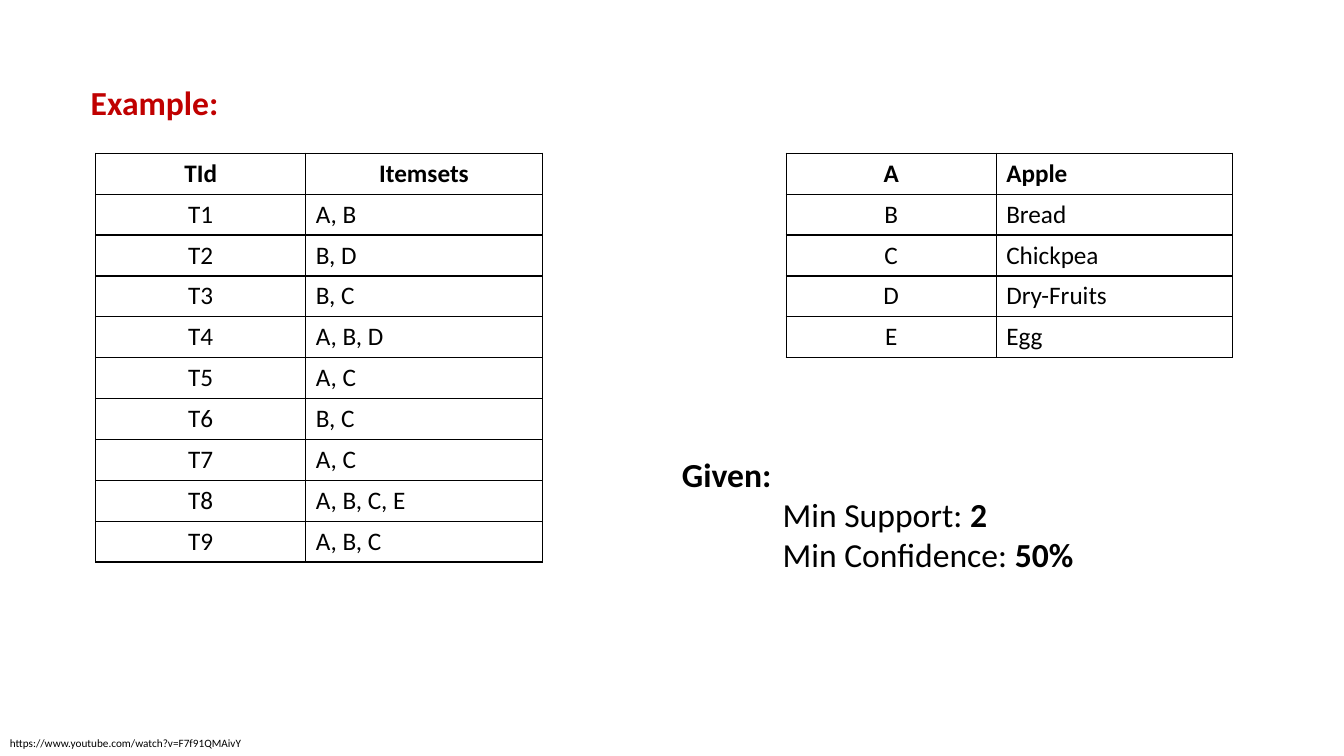
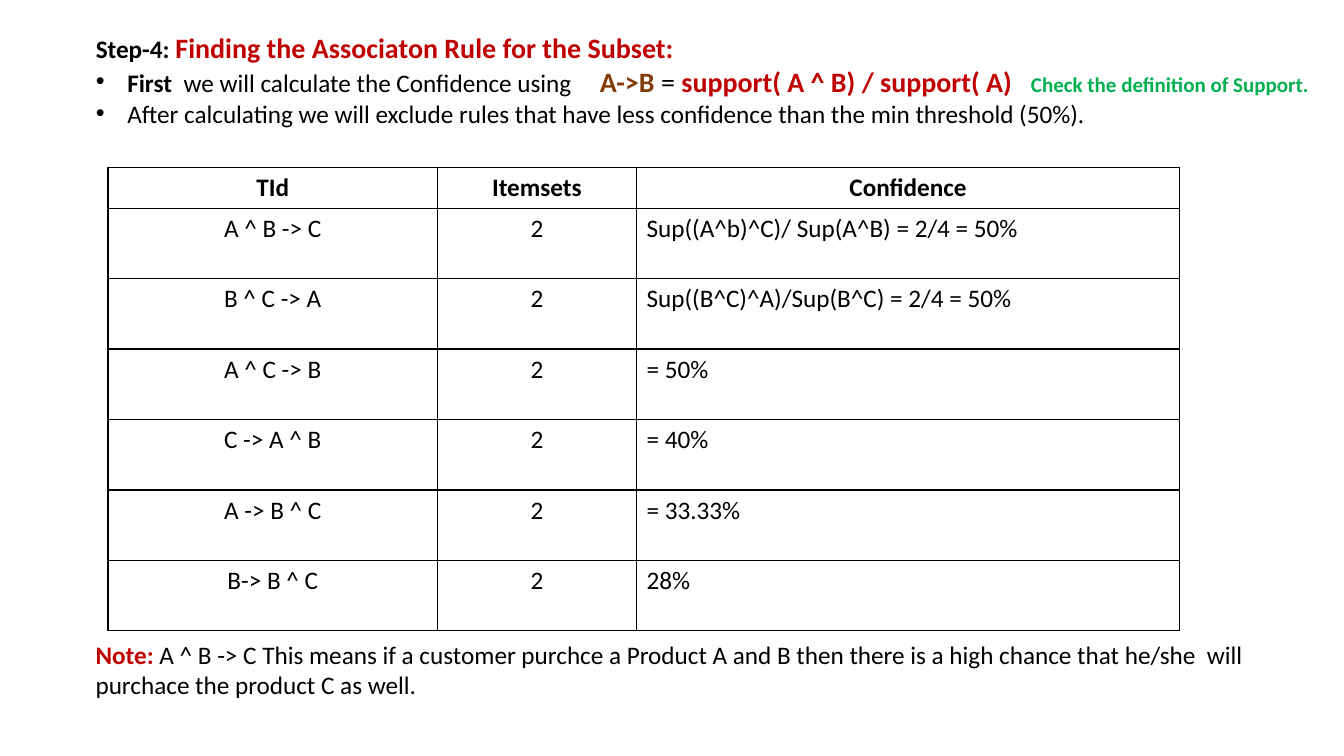
from lxml.etree import SubElement
from pptx import Presentation
from pptx.dml.color import RGBColor
from pptx.enum.text import MSO_ANCHOR, MSO_AUTO_SIZE, PP_ALIGN
from pptx.oxml.ns import qn
from pptx.util import Pt

FONT = "Calibri"
COLORS = {"text": "000000", "accent": "C00000", "rule": "843C0B",
          "hint": "00B050", "cell": "FFFFFF", "border": "000000"}
ROW_HEIGHT = 29.2
CELL_SIZE = 18

# A run is (text, size, colour, bold); a box is a list of paragraphs of runs.
EXAMPLE_TITLE = [[("Example:", 24, "accent", True)]]
TRANSACTIONS = [
    ("TId", "Itemsets"), ("T1", "A, B"), ("T2", "B, D"), ("T3", "B, C"),
    ("T4", "A, B, D"), ("T5", "A, C"), ("T6", "B, C"), ("T7", "A, C"),
    ("T8", "A, B, C, E"), ("T9", "A, B, C"),
]
ITEMS = [("A", "Apple"), ("B", "Bread"), ("C", "Chickpea"),
         ("D", "Dry-Fruits"), ("E", "Egg")]
GIVEN = [
    [("Given:", 24, "text", True)],
    [("Min Support: ", 24, "text", False), ("2", 24, "text", True)],
    [("Min Confidence: ", 24, "text", False), ("50%", 24, "text", True)],
]
REFERENCE = [[("https://www.youtube.com/watch?v=F7f91QMAivY", 8, "text", False)]]

STEP_TITLE = [[("Step-4: ", 18, "text", True),
               ("Finding the Associaton Rule for the Subset:", 20, "accent", True)]]
STEP_POINTS = [
    [("First ", 18, "text", True),
     (" we will calculate the Confidence using\t", 18, "text", False),
     ("A->B ", 20, "rule", True),
     ("= ", 20, "text", False),
     ("support( A ^ B) / support( A)\t", 20, "accent", True),
     ("Check the definition of Support.", 15, "hint", True)],
    [("After calculating we will exclude rules that have less confidence "
      "than the min threshold (50%).", 18, "text", False)],
]
RULES = [
    ("TId", "Itemsets", "Confidence"),
    ("A ^ B -> C", "2", "Sup((A^b)^C)/ Sup(A^B) = 2/4 = 50%"),
    ("B ^ C -> A", "2", "Sup((B^C)^A)/Sup(B^C) = 2/4 = 50%"),
    ("A ^ C -> B", "2", "= 50%"),
    ("C -> A ^ B", "2", "= 40%"),
    ("A -> B ^ C", "2", "= 33.33%"),
    ("B-> B ^ C", "2", "28%"),
]
NOTE = [[("Note: ", 18, "accent", True),
         ("A ^ B -> C This means if a customer purchce a Product A and B then "
          "there is a high chance that he/she  will purchace the product C as well.",
          18, "text", False)]]


def color(name):
    return RGBColor.from_string(COLORS[name])


def style_font(font, size, color_name, bold):
    font.name, font.size, font.bold = FONT, Pt(size), bold
    font.color.rgb = color(color_name)


def fill_box(box, area, paragraphs):
    """Place a text box or placeholder and write its formatted runs."""
    box.left, box.top, box.width, box.height = map(Pt, area)
    frame = box.text_frame
    frame.word_wrap = True
    frame.auto_size = MSO_AUTO_SIZE.NONE
    frame.vertical_anchor = MSO_ANCHOR.TOP
    frame.margin_left = frame.margin_right = Pt(7.2)
    frame.margin_top = frame.margin_bottom = Pt(3.6)
    for index, runs in enumerate(paragraphs):
        paragraph = frame.add_paragraph() if index else frame.paragraphs[0]
        paragraph.alignment = PP_ALIGN.LEFT
        paragraph.space_before = Pt(0)
        for text, *style in runs:
            run = paragraph.add_run()
            run.text = text
            style_font(run.font, *style)
    return frame.paragraphs


def add_text(slide, area, paragraphs):
    return fill_box(slide.shapes.add_textbox(*map(Pt, area)), area, paragraphs)


def indent(paragraph, left, first=0):
    properties = paragraph._p.get_or_add_pPr()
    properties.set("marL", str(Pt(left)))
    properties.set("indent", str(Pt(first)))
    return properties


def add_bullet(paragraph, hang, tab_stops):
    properties = indent(paragraph, hang, -hang)
    SubElement(properties, qn("a:buFont"), typeface="Arial")
    SubElement(properties, qn("a:buChar"), char="•")
    tabs = SubElement(properties, qn("a:tabLst"))
    for stop in tab_stops:
        SubElement(tabs, qn("a:tab"), pos=str(Pt(stop)), algn="l")


def add_borders(cell):
    properties = cell._tc.get_or_add_tcPr()
    for position, side in enumerate(("a:lnL", "a:lnR", "a:lnT", "a:lnB")):
        line = properties.makeelement(qn(side), {"w": str(Pt(1))})
        fill = SubElement(line, qn("a:solidFill"))
        SubElement(fill, qn("a:srgbClr"), val=COLORS["border"])
        properties.insert(position, line)


def add_grid(slide, left, top, widths, rows, body_height=ROW_HEIGHT, header_centred=True):
    """Add a ruled table whose last column is left-aligned below the header."""
    heights = [ROW_HEIGHT] + [body_height] * (len(rows) - 1)
    table = slide.shapes.add_table(len(rows), len(widths), Pt(left), Pt(top),
                                   Pt(sum(widths)), Pt(sum(heights))).table
    table.first_row = table.horz_banding = False
    for column, width in zip(table.columns, widths):
        column.width = Pt(width)
    for r, (values, height) in enumerate(zip(rows, heights)):
        table.rows[r].height = Pt(height)
        for c, value in enumerate(values):
            cell = table.cell(r, c)
            cell.fill.solid()
            cell.fill.fore_color.rgb = color("cell")
            add_borders(cell)
            cell.text_frame.text = value
            paragraph = cell.text_frame.paragraphs[0]
            centred = c < len(widths) - 1 or (r == 0 and header_centred)
            paragraph.alignment = PP_ALIGN.CENTER if centred else PP_ALIGN.LEFT
            style_font(paragraph.runs[0].font, CELL_SIZE, "text", r == 0)


def build_example(deck):
    slide = deck.slides.add_slide(deck.slide_layouts[5])
    fill_box(slide.shapes.title, (57.6, 54.72, 838, 36), EXAMPLE_TITLE)
    pair_widths, top = (150, 169), 109.5
    add_grid(slide, 68.4, top, pair_widths, TRANSACTIONS)
    add_grid(slide, 561.6, top, pair_widths, ITEMS, header_centred=False)
    given = add_text(slide, (480, 320.4, 390, 94.3), GIVEN)
    for condition in given[1:]:
        indent(condition, 72)
    add_text(slide, (0, 522.7, 480, 17.3), REFERENCE)


def build_step(deck):
    slide = deck.slides.add_slide(deck.slide_layouts[1])
    left, top, title_line = 61.2, 18, 24.4
    fill_box(slide.shapes.title, (left, top, 898, title_line + 7.2), STEP_TITLE)
    points = fill_box(slide.placeholders[1], (left, top + title_line, 898, 53.6), STEP_POINTS)
    for point in points:
        add_bullet(point, 22.5, (360, 668))
    add_grid(slide, 77.2, 119.5, (235.3, 142.2, 388), RULES, body_height=50.33)
    add_text(slide, (left, 453, 844.6, 51), NOTE)


def main():
    deck = Presentation()
    deck.slide_width, deck.slide_height = Pt(960), Pt(540)
    build_example(deck)
    build_step(deck)
    deck.save("out.pptx")


if __name__ == "__main__":
    main()
